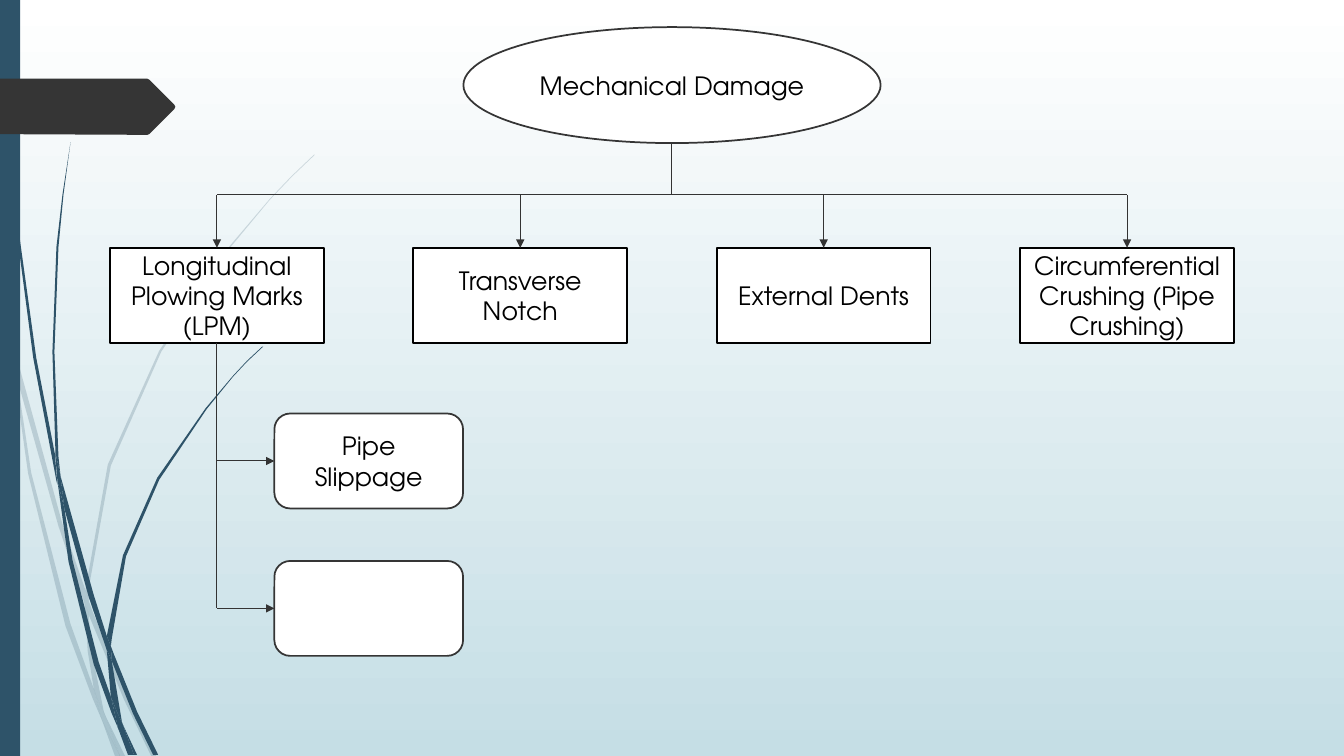
from lxml import etree
from pptx import Presentation
from pptx.dml.color import RGBColor
from pptx.enum.shapes import MSO_CONNECTOR, MSO_SHAPE
from pptx.enum.text import MSO_ANCHOR, PP_ALIGN
from pptx.oxml.ns import qn
from pptx.util import Pt

STRAIGHT = MSO_CONNECTOR.STRAIGHT
RECTANGLE = MSO_SHAPE.RECTANGLE
ROUNDED = MSO_SHAPE.ROUNDED_RECTANGLE
OVAL = MSO_SHAPE.OVAL
CENTER = PP_ALIGN.CENTER
MIDDLE = MSO_ANCHOR.MIDDLE
TOP, LEFT, BOTTOM = 0, 1, 2

# Outlines of the wisps, in units of 0.72 pt
WISP_UNIT = 0.72
PALE_WISPS = [
    "11,350 9,322 0,282 0,299 10,344",
    "58,522 84,599 85,586 62,520 14,345 17,376",
    "92,607 88,596 88,610 123,694 150,750 155,750 127,692",
    "119,750 124,750 105,711",
    "93,683 70,619 31,469 17,376 11,350 28,470 65,621 92,693 101,714 99,707",
    "84,599 87,646 93,683 96,692 105,711 103,706 91,646 88,610 88,608",
    "88,584 110,462 160,349 229,245 268,198 290,175 312,154 312,153 289,175 268,197 228,244 158,348 "
    "107,461 85,584 85,586 88,596",
    "101,714 114,750 119,750",
    "88,608 88,610 88,596 85,586 84,599",
    "96,692 93,683 99,707 101,714 119,750 105,711",
]
DARK_WISPS = [
    "7,110 17,233 33,355 56,477 57,481 55,457 55,453 36,355 19,232 8,109 5,48 4,0 3,0 4,48",
    "88,592 106,645 106,633 106,631 93,590 60,472 64,505",
    "113,649 110,641 111,656 132,708 152,749 157,749 136,706",
    "110,691 98,657 72,556 64,505 57,477 68,557 93,659 111,708 117,722 116,717",
    "60,472 58,453 54,349 58,245 63,193 70,141 62,193 56,245 52,349 55,449",
    "133,749 136,749 122,719",
    "57,477 64,505 60,472 55,449 55,453",
    "111,633 125,552 158,476 205,406 231,374 245,359 261,344 260,344 245,358 231,373 204,405 156,474 "
    "122,551 106,631 110,641",
    "117,722 127,749 131,749",
    "106,645 110,691 116,706 122,719 121,716 111,656 109,651",
    "106,645 109,651 111,656 110,641 106,631 106,633",
    "116,706 110,691 116,717 117,722 130,749 133,749 122,719",
]


def color(hex_text):
    return RGBColor.from_string(hex_text)


class DiagramSlide:
    FONT, SIZE = "TeX Gyre Adventor", 18
    BLUE, GRAY, LINE, BLACK, WHITE = "2E5369", "353535", "333333", "000000", "FFFFFF"

    def __init__(self, presentation):
        self.slide = presentation.slides.add_slide(presentation.slide_layouts[6])
        self.shapes = self.slide.shapes

    def background(self, top_color, bottom_color):
        fill = self.slide.background.fill
        fill.gradient()
        fill.gradient_angle = 270
        for stop, hex_text in zip(fill.gradient_stops, (top_color, bottom_color)):
            stop.color.rgb = color(hex_text)

    def paint(self, shape, fill, line=None):
        shape.shadow.inherit = False
        shape.fill.solid()
        shape.fill.fore_color.rgb = color(fill)
        if line:
            shape.line.color.rgb = color(line)
            shape.line.width = Pt(1.25)
        else:
            shape.line.fill.background()

    def outline(self, shapes, points, fill, opacity=100):
        points = [(Pt(x), Pt(y)) for x, y in points]
        builder = shapes.build_freeform(*points[0])
        builder.add_line_segments(points[1:])
        shape = builder.convert_to_shape()
        self.paint(shape, fill)
        if opacity < 100:
            fill_color = shape._element.spPr.find(qn("a:solidFill"))[0]
            etree.SubElement(fill_color, qn("a:alpha")).set("val", str(opacity * 1000))

    def wisps(self, outlines, opacity):
        group = self.shapes.add_group_shape()
        for outline in outlines:
            points = [[int(n) * WISP_UNIT for n in pair.split(",")] for pair in outline.split()]
            self.outline(group.shapes, points, self.BLUE, opacity)

    def box(self, kind, left, top, width, height, text="", fill=WHITE, line=None):
        shape = self.shapes.add_shape(kind, Pt(left), Pt(top), Pt(width), Pt(height))
        self.paint(shape, fill, line)
        if text:
            frame = shape.text_frame
            frame.text = text
            frame.word_wrap = True
            frame.vertical_anchor = MIDDLE
            paragraph = frame.paragraphs[0]
            paragraph.alignment = CENTER
            font = paragraph.runs[0].font
            font.name, font.size = self.FONT, Pt(self.SIZE)
            font.color.rgb = color(self.BLACK)
        return shape

    def connector(self, start, end, arrow=False, begin=None, finish=None):
        connector = self.shapes.add_connector(STRAIGHT, *(Pt(n) for n in start + end))
        connector.line.color.rgb = color(self.LINE)
        connector.line.width = Pt(0.75)
        properties = connector._element.spPr
        if arrow:
            etree.SubElement(properties.find(qn("a:ln")), qn("a:tailEnd")).set("type", "triangle")
        etree.SubElement(properties, qn("a:effectLst"))
        if begin:
            connector.begin_connect(*begin)
        if finish:
            connector.end_connect(*finish)


def main():
    presentation = Presentation()
    presentation.slide_width, presentation.slide_height = Pt(960), Pt(540)
    diagram = DiagramSlide(presentation)

    # Backdrop
    diagram.background("FFFFFF", "C5DEE5")
    diagram.wisps(PALE_WISPS, 20)
    diagram.wisps(DARK_WISPS, 100)
    diagram.box(RECTANGLE, 0, 0, 14.4, 540, fill=diagram.BLUE)
    diagram.outline(diagram.shapes, [(0, 56.2), (105.2, 56.2), (106.6, 56.9), (124.6, 74.9), (125.2, 76.3),
                                     (124.6, 77.8), (106.6, 95.8), (105.2, 96.3), (0, 95.8)], diagram.GRAY)

    # Root
    center, bus = 480, 139.2
    diagram.box(OVAL, center - 149, 19.4, 298, 82.8, "Mechanical Damage", line=diagram.GRAY)
    diagram.connector((center, 102.6), (center, bus))

    # Damage types
    types = ["Longitudinal Plowing Marks (LPM)", "Transverse Notch", "External Dents",
             "Circumferential Crushing (Pipe Crushing)"]
    width, height, top, pitch = 152.8, 67.8, 177, 216.7
    middles = [center + (index - 1.5) * pitch for index in range(len(types))]
    diagram.connector((middles[0], bus), (middles[-1], bus))
    boxes = []
    for text, x in zip(types, middles):
        box = diagram.box(RECTANGLE, x - width / 2, top, width, height, text, line=diagram.BLACK)
        diagram.connector((x, bus), (x, top), arrow=True, finish=(box, TOP))
        boxes.append(box)

    # Causes of plowing marks
    trunk, left, first, step = middles[0], 196, 295.4, 105.3
    for index, text in enumerate(["Pipe Slippage", ""]):
        cause_top = first + index * step
        y = cause_top + height / 2
        cause = diagram.box(ROUNDED, left, cause_top, 134.8, height, text, line=diagram.GRAY)
        diagram.connector((trunk, y), (left, y), arrow=True, finish=(cause, LEFT))
    diagram.connector((trunk, top + height), (trunk, y), begin=(boxes[0], BOTTOM))

    presentation.save("out.pptx")


if __name__ == "__main__":
    main()
